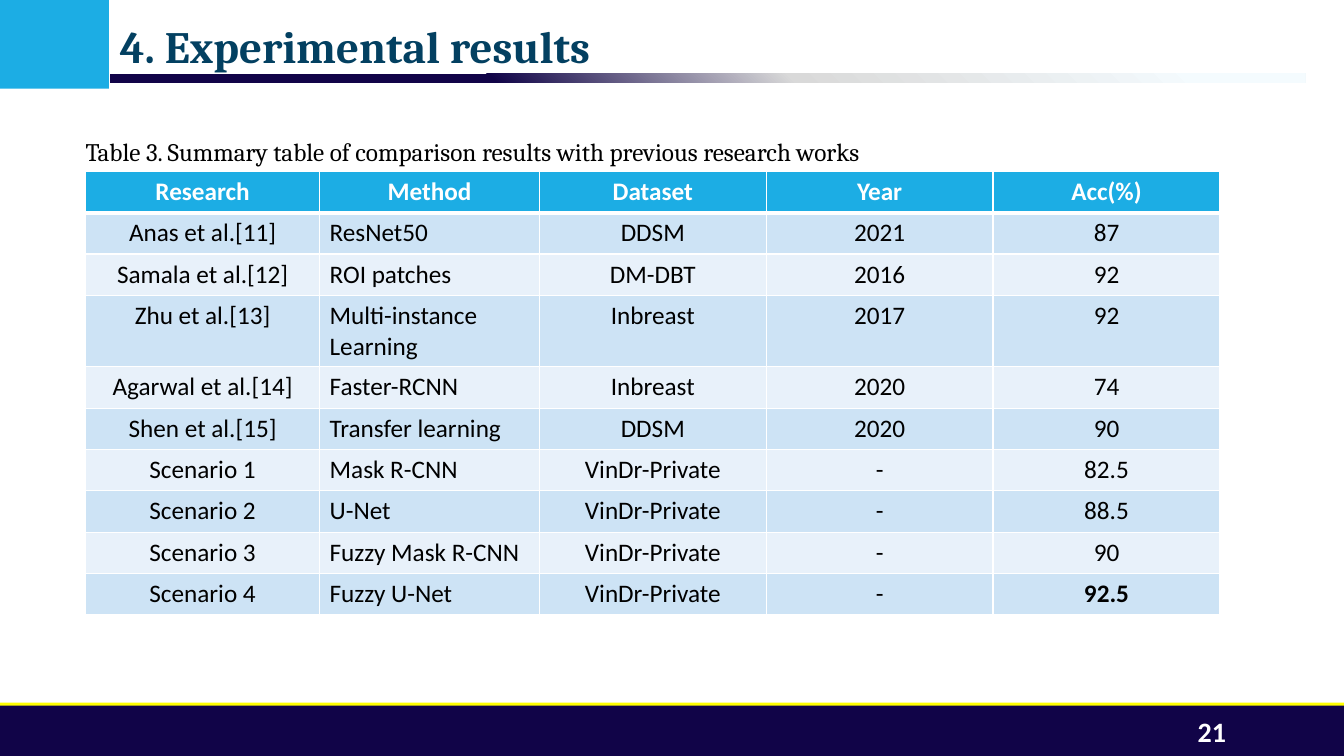
from lxml.etree import SubElement
from pptx import Presentation
from pptx.dml.color import RGBColor
from pptx.enum.shapes import MSO_SHAPE
from pptx.enum.text import MSO_ANCHOR, PP_ALIGN
from pptx.oxml.ns import qn
from pptx.util import Inches, Pt

COLORS = {
    "accent": "1CADE4",
    "navy": "110448",
    "yellow": "FFFF00",
    "title": "034061",
    "white": "FFFFFF",
    "black": "000000",
    "band_dark": "CDE3F5",
    "band_light": "E8F1FA",
    "pale": "F4FBFE",
    "gray": "D9D9D9",
}
RULE_STOPS = [(9, "pale"), (43, "gray"), (68, "navy"), (100, "navy")]
COLUMN_WIDTHS = [2.32, 2.18, 2.25, 2.25, 2.25]
ROW_HEIGHT = 0.41
TWO_LINE_ROW_HEIGHT = 0.71
TWO_LINE_ROW = 3
METHOD_COLUMN = 1
RESULTS = [
    ["Research", "Method", "Dataset", "Year", "Acc(%)"],
    ["Anas et al.[11]", "ResNet50", "DDSM", "2021", "87"],
    ["Samala et al.[12]", "ROI patches", "DM-DBT", "2016", "92"],
    ["Zhu et al.[13]", "Multi-instance Learning", "Inbreast", "2017", "92"],
    ["Agarwal et al.[14]", "Faster-RCNN", "Inbreast", "2020", "74"],
    ["Shen et al.[15]", "Transfer learning", "DDSM", "2020", "90"],
    ["Scenario 1", "Mask R-CNN", "VinDr-Private", "-", "82.5"],
    ["Scenario 2", "U-Net", "VinDr-Private", "-", "88.5"],
    ["Scenario 3", "Fuzzy Mask R-CNN", "VinDr-Private", "-", "90"],
    ["Scenario 4", "Fuzzy U-Net", "VinDr-Private", "-", "92.5"],
]
BEST_CELL = (len(RESULTS) - 1, len(COLUMN_WIDTHS) - 1)


def color(name):
    return RGBColor.from_string(COLORS[name])


def set_font(paragraph, name, size, color_name, bold=False):
    font = paragraph.font
    font.name = name
    font.size = Pt(size)
    font.bold = bold
    font.color.rgb = color(color_name)


def add_bar(slide, left, top, width, height, fill):
    shape = slide.shapes.add_shape(
        MSO_SHAPE.RECTANGLE, Inches(left), Inches(top), Inches(width), Inches(height)
    )
    shape.shadow.inherit = False
    shape.fill.solid()
    shape.fill.fore_color.rgb = color(fill)
    shape.line.fill.background()
    return shape


def add_text(slide, left, top, width, height, text):
    box = slide.shapes.add_textbox(
        Inches(left), Inches(top), Inches(width), Inches(height)
    )
    frame = box.text_frame
    frame.word_wrap = True
    paragraph = frame.paragraphs[0]
    paragraph.text = text
    return frame, paragraph


def apply_rule_gradient(shape):
    properties = shape.fill._xPr
    properties.remove(properties.find(qn("a:solidFill")))
    gradient = SubElement(properties, qn("a:gradFill"), rotWithShape="1")
    properties.find(qn("a:prstGeom")).addnext(gradient)
    stops = SubElement(gradient, qn("a:gsLst"))
    for position, name in RULE_STOPS:
        stop = SubElement(stops, qn("a:gs"), pos=str(position * 1000))
        SubElement(stop, qn("a:srgbClr"), val=COLORS[name])
    path_fill = SubElement(gradient, qn("a:path"), path="circle")
    SubElement(path_fill, qn("a:fillToRect"), l="100000", b="100000")


def add_header(slide, left, top, width, title):
    add_bar(slide, left, top, 1.08, 0.88, "accent")
    rule = add_bar(slide, left + 1.09, top + 0.73, width - 1.47, 0.09, "navy")
    apply_rule_gradient(rule)
    frame, paragraph = add_text(slide, left + 1.09, top + 0.2, 11.01, 0.49, title)
    frame.margin_left = Inches(0.1)
    frame.margin_right = 0
    paragraph.line_spacing = 0.9
    paragraph.space_after = Pt(2)
    set_font(paragraph, "Cambria", 32, "title", True)


def add_footer(slide, left, top, width, number):
    add_bar(slide, left, top, width, 0.07, "yellow")
    add_bar(slide, left, top + 0.03, width, 0.5, "navy")
    frame, paragraph = add_text(slide, left + 10.83, top + 0.09, 1.43, 0.4, number)
    frame.vertical_anchor = MSO_ANCHOR.MIDDLE
    paragraph.alignment = PP_ALIGN.RIGHT
    set_font(paragraph, "Calibri", 20, "white", True)


def set_borders(cell, top_width, bottom_width):
    properties = cell._tc.get_or_add_tcPr()
    for side, points in zip("LRTB", (1, 1, top_width, bottom_width)):
        line = SubElement(properties, qn(f"a:ln{side}"), w=str(Pt(points)))
        fill = SubElement(line, qn("a:solidFill"))
        SubElement(fill, qn("a:srgbClr"), val=COLORS["white"])


def style_cell(cell, row, column):
    is_header = row == 0
    set_borders(cell, 3 if row == 1 else 1, 3 if is_header else 1)
    cell.fill.solid()
    band = "band_dark" if row % 2 else "band_light"
    cell.fill.fore_color.rgb = color("accent" if is_header else band)
    paragraph = cell.text_frame.paragraphs[0]
    is_left = column == METHOD_COLUMN and not is_header
    paragraph.alignment = PP_ALIGN.LEFT if is_left else PP_ALIGN.CENTER
    is_bold = is_header or (row, column) == BEST_CELL
    set_font(paragraph, "Calibri", 18, "white" if is_header else "black", is_bold)


def add_results(slide, left, top, caption):
    _, paragraph = add_text(slide, left - 0.1, top - 0.4, 9.29, 0.4, caption)
    set_font(paragraph, "Cambria", 18, "black")
    heights = [ROW_HEIGHT] * len(RESULTS)
    heights[TWO_LINE_ROW] = TWO_LINE_ROW_HEIGHT
    table = slide.shapes.add_table(
        len(RESULTS), len(COLUMN_WIDTHS), Inches(left), Inches(top),
        Inches(sum(COLUMN_WIDTHS)), Inches(sum(heights)),
    ).table
    for column, width in zip(table.columns, COLUMN_WIDTHS):
        column.width = Inches(width)
    for row, height in zip(table.rows, heights):
        row.height = Inches(height)
    for row, values in enumerate(RESULTS):
        for column, value in enumerate(values):
            cell = table.cell(row, column)
            cell.text = value
            style_cell(cell, row, column)


def main():
    presentation = Presentation()
    presentation.slide_width = Inches(13.33)
    presentation.slide_height = Inches(7.5)
    slide = presentation.slides.add_slide(presentation.slide_layouts[6])
    add_header(slide, 0, 0, 13.33, "4. Experimental results")
    add_footer(slide, 0, 6.97, 13.33, "21")
    add_results(
        slide, 0.85, 1.7,
        "Table 3. Summary table of comparison results with previous research works",
    )
    presentation.save("out.pptx")


if __name__ == "__main__":
    main()
